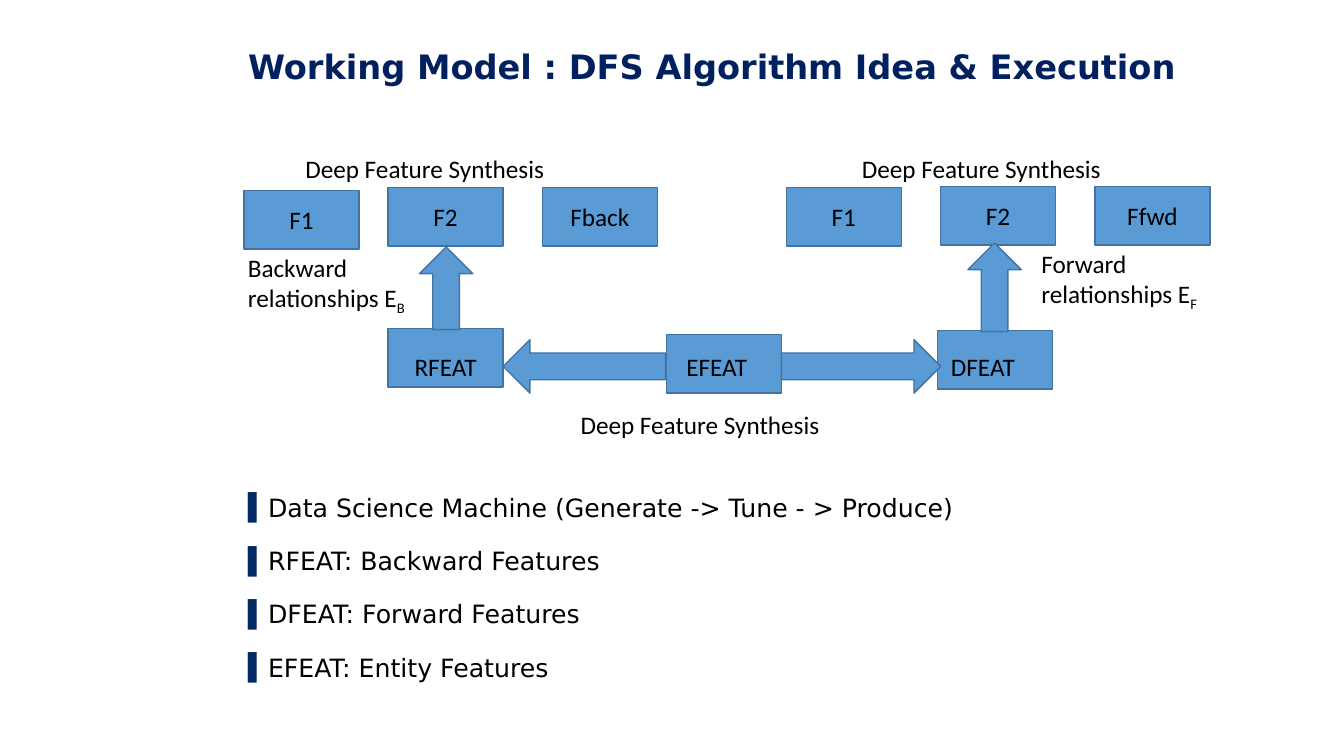
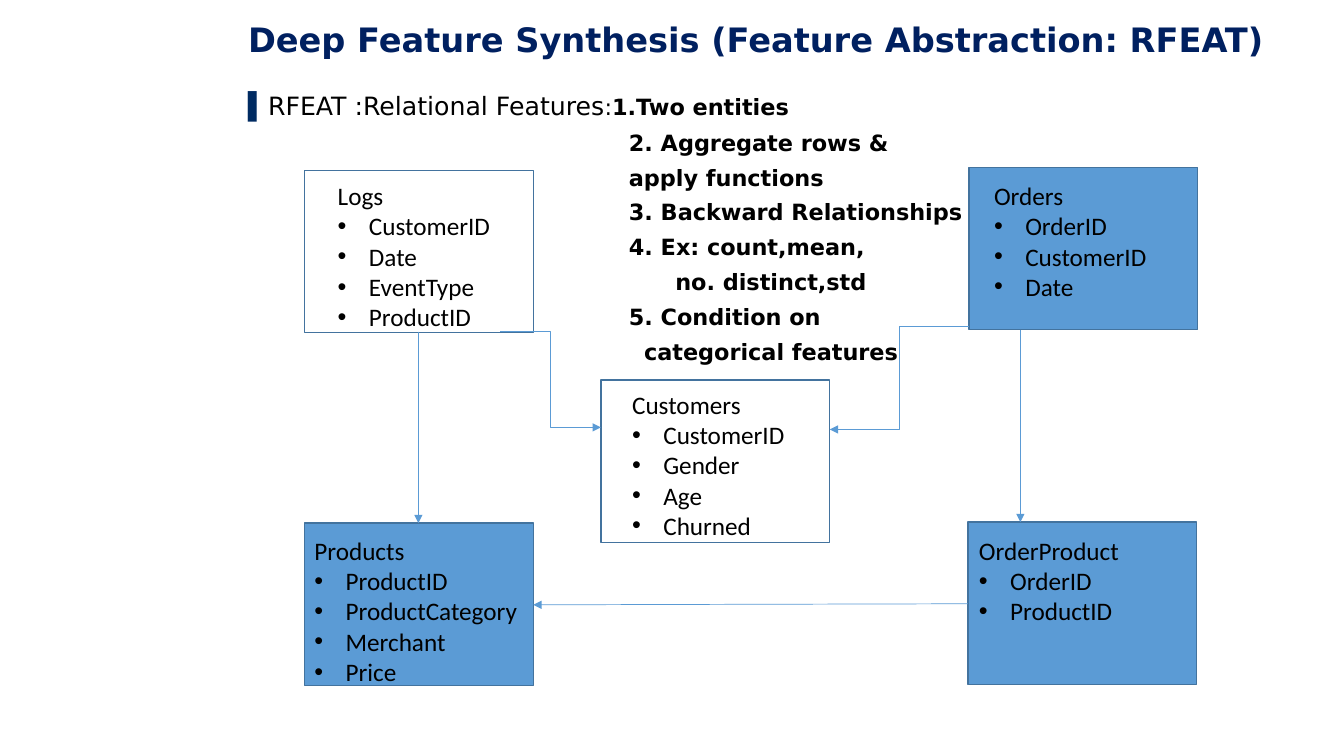
from lxml.etree import SubElement
from pptx import Presentation
from pptx.dml.color import RGBColor
from pptx.enum.shapes import MSO_CONNECTOR as Connector, MSO_SHAPE as Shape
from pptx.enum.text import MSO_ANCHOR as Anchor, MSO_AUTO_SIZE as AutoSize, PP_ALIGN as Align
from pptx.oxml.ns import qn
from pptx.util import Inches, Pt

NAVY, MARKER, BLACK, WHITE = "002060", "002B62", "000000", "FFFFFF"
BLUE, OUTLINE = "5B9BD5", "43739E"
MARGIN_X, MARGIN_Y = 0.1, 0.05
CONTENT_LEFT = 2.36
FEATURE_W, FEATURE_H = 1.14, 0.58
ENTITY_W, ENTITY_H = 2.27, 1.61
DIAGRAM_FONT = {"name": "Calibri", "size": Pt(18)}
BODY_FONT = {"name": "DejaVu Sans", "size": Pt(18)}
NOTE_FONT = {"name": "DejaVu Sans", "size": Pt(16), "bold": True}
TITLE_FONT = {"name": "DejaVu Sans", "size": Pt(24), "bold": True}
BODY_SPACING = {"space_before": Pt(5.7)}


def color(hex_value):
    """Turn a hex string into a colour."""
    return RGBColor.from_string(hex_value)


def apply_format(target, formats):
    """Set every attribute named in a dict of format values."""
    for attribute, value in formats.items():
        setattr(target, attribute, value)


def add_run(paragraph, text, font, hex_value=BLACK):
    """Append a formatted run to a paragraph."""
    run = paragraph.add_run()
    run.text = text
    apply_format(run.font, font)
    run.font.color.rgb = color(hex_value)
    return run


def next_paragraph(frame):
    """Return the first paragraph while it is empty, otherwise a new one."""
    first = frame.paragraphs[0]
    return frame.add_paragraph() if first.runs else first


def set_indent(paragraph, left, hanging=0):
    """Set the left margin and hanging indent of a paragraph."""
    properties = paragraph._p.get_or_add_pPr()
    properties.set("marL", str(Inches(left)))
    properties.set("indent", str(-Inches(hanging)))


def set_bullet(paragraph, character, indent, hex_value=BLACK):
    """Give a paragraph a hanging bullet."""
    set_indent(paragraph, indent, indent)
    properties = paragraph._p.get_or_add_pPr()
    fill = SubElement(properties, qn("a:buClr"))
    SubElement(fill, qn("a:srgbClr")).set("val", hex_value)
    SubElement(properties, qn("a:buFont")).set("typeface", "Arial")
    SubElement(properties, qn("a:buChar")).set("char", character)


def add_title_slide(deck, text, top):
    """Add a title-only slide with the shared title style."""
    slide = deck.slides.add_slide(deck.slide_layouts[5])
    title = slide.shapes.title
    apply_format(title, {"left": Inches(CONTENT_LEFT), "top": Inches(top),
                         "width": Inches(10.88), "height": Inches(0.46)})
    frame = title.text_frame
    apply_format(frame, {"word_wrap": True, "auto_size": AutoSize.NONE,
                         "vertical_anchor": Anchor.BOTTOM})
    heading = frame.paragraphs[0]
    apply_format(heading, {"alignment": Align.LEFT, "line_spacing": 0.9})
    add_run(heading, text, TITLE_FONT, NAVY)
    return slide


def add_text_area(slide, left, top, width, height):
    """Add a wrapping text box and return its frame."""
    area = slide.shapes.add_textbox(*map(Inches, (left, top, width, height)))
    area.text_frame.word_wrap = True
    return area.text_frame


def add_label(slide, left, top, width, text, subscript=""):
    """Add a diagram label with an optional subscript."""
    frame = add_text_area(slide, left, top, width, 0.4)
    for line in text.split("\n"):
        paragraph = next_paragraph(frame)
        add_run(paragraph, line, DIAGRAM_FONT)
    if subscript:
        small = add_run(paragraph, subscript, DIAGRAM_FONT)
        small._r.get_or_add_rPr().set("baseline", "-25000")


def add_block(slide, kind, left, top, width, height, fill=BLUE):
    """Add a filled, outlined shape without shadow."""
    block = slide.shapes.add_shape(kind, *map(Inches, (left, top, width, height)))
    block.shadow.inherit = False
    block.fill.solid()
    block.fill.fore_color.rgb = color(fill)
    block.line.color.rgb = color(OUTLINE)
    block.line.width = Pt(1)
    return block


def add_feature(slide, left, top, name, shift_left=0, shift_down=0):
    """Add a feature box whose centred name may be shifted."""
    frame = add_block(slide, Shape.RECTANGLE, left, top, FEATURE_W, FEATURE_H).text_frame
    apply_format(frame, {"vertical_anchor": Anchor.MIDDLE, "word_wrap": True,
                         "margin_right": Inches(MARGIN_X + 2 * shift_left),
                         "margin_top": Inches(MARGIN_Y + 2 * shift_down)})
    frame.paragraphs[0].alignment = Align.CENTER
    add_run(frame.paragraphs[0], name, DIAGRAM_FONT)


def add_synthesis_diagram(slide, left, top):
    """Draw the feature boxes, their arrows and labels."""
    features = [
        (0.06, 0.42, "F1", 0, 0), (1.49, 0.39, "F2", 0, 0), (3.02, 0.39, "Fback", 0, 0),
        (5.44, 0.39, "F1", 0, 0), (6.97, 0.38, "F2", 0, 0), (8.5, 0.38, "Ffwd", 0, 0),
        (1.49, 1.79, "RFEAT", 0, 0.08), (4.25, 1.85, "EFEAT", 0.07, 0.02),
        (6.94, 1.81, "DFEAT", 0.12, 0.06),
    ]
    for x, y, name, shift_left, shift_down in features:
        add_feature(slide, left + x, top + y, name, shift_left, shift_down)
    arrows = [
        (Shape.RIGHT_ARROW, 5.39, 1.9, 1.58, 0.53), (Shape.LEFT_ARROW, 2.63, 1.9, 1.61, 0.53),
        (Shape.UP_ARROW, 1.8, 0.98, 0.53, 0.82), (Shape.UP_ARROW, 7.24, 0.94, 0.53, 0.88),
    ]
    for kind, x, y, width, height in arrows:
        add_block(slide, kind, left + x, top + y, width, height)
    for x, y in [(0.57, 0), (6.09, 0), (3.3, 2.54)]:
        add_label(slide, left + x, top + y, 2.7, "Deep Feature Synthesis")
    add_label(slide, left, top + 0.98, 1.8, "Backward relationships E", "B")
    add_label(slide, left + 7.87, top + 0.94, 1.91, "Forward\nrelationships E", "F")


def add_glossary(slide, left, top):
    """List the terms with bar bullets."""
    frame = add_text_area(slide, left, top, 10.71, 2.01)
    for term in ("Data Science Machine (Generate -> Tune - > Produce)",
                 "RFEAT: Backward Features", "DFEAT: Forward Features",
                 "EFEAT: Entity Features"):
        paragraph = next_paragraph(frame)
        set_bullet(paragraph, "▌", 0.2, MARKER)
        apply_format(paragraph, {**BODY_SPACING, "line_spacing": 1.5})
        add_run(paragraph, term, BODY_FONT)


def add_relational_notes(slide, left, top):
    """Write the relational feature heading and its numbered notes."""
    frame = add_text_area(slide, left, top, 10.71, 2.8)
    heading = frame.paragraphs[0]
    set_bullet(heading, "▌", 0.2, MARKER)
    add_run(heading, "RFEAT :Relational Features", BODY_FONT)
    add_run(heading, ":", {**NOTE_FONT, "bold": False})
    add_run(heading, "1.Two entities", NOTE_FONT)
    notes = [
        (3.78, "2. Aggregate rows &"), (3.78, "apply functions"),
        (3.78, "3. Backward Relationships"), (3.78, "4. Ex: count,mean,"),
        (4.24, "no. distinct,std"), (3.78, "5. Condition on"),
        (3.93, "categorical features"),
    ]
    for indent, note in notes:
        paragraph = frame.add_paragraph()
        set_indent(paragraph, indent)
        apply_format(paragraph, BODY_SPACING)
        add_run(paragraph, note, NOTE_FONT)


def add_entity(slide, left, top, fill, inset_x, inset_y, name, fields):
    """Add an entity box with its name and bulleted fields."""
    box = add_block(slide, Shape.RECTANGLE, left, top, ENTITY_W, ENTITY_H, fill)
    frame = box.text_frame
    apply_format(frame, {"vertical_anchor": Anchor.TOP, "word_wrap": True,
                         "margin_left": Inches(inset_x), "margin_top": Inches(inset_y),
                         "margin_right": 0, "margin_bottom": 0})
    for line in (name, *fields):
        paragraph = next_paragraph(frame)
        paragraph.alignment = Align.LEFT
        if line != name:
            set_bullet(paragraph, "•", 0.31)
        add_run(paragraph, line, DIAGRAM_FONT)


def add_relation(slide, kind, start_x, start_y, end_x, end_y):
    """Add a thin connector that ends in a triangle."""
    relation = slide.shapes.add_connector(kind, *map(Inches, (start_x, start_y, end_x, end_y)))
    relation.line.color.rgb = color(BLUE)
    relation.line.width = Pt(0.5)
    SubElement(relation.line._get_or_add_ln(), qn("a:tailEnd")).set("type", "triangle")
    SubElement(relation._element.spPr, qn("a:effectLst"))


def add_entity_diagram(slide, left, top):
    """Draw the entities and the relations between them."""
    entities = [
        (0, 0.03, WHITE, 0.33, 0.1, "Logs", ("CustomerID", "Date", "EventType", "ProductID")),
        (0, 3.53, BLUE, 0.1, 0.12, "Products",
         ("ProductID", "ProductCategory", "Merchant", "Price")),
        (2.94, 2.11, WHITE, 0.31, 0.09, "Customers", ("CustomerID", "Gender", "Age", "Churned")),
        (6.59, 0, BLUE, 0.25, 0.13, "Orders", ("OrderID", "CustomerID", "Date")),
        (6.58, 3.52, BLUE, 0.11, 0.13, "OrderProduct", ("OrderID", "ProductID")),
    ]
    for x, y, *details in entities:
        add_entity(slide, left + x, top + y, *details)
    relations = [
        (Connector.ELBOW, 1.94, 1.63, 2.94, 2.58), (Connector.ELBOW, 6.59, 1.58, 5.21, 2.6),
        (Connector.STRAIGHT, 1.13, 1.63, 1.13, 3.53),
        (Connector.STRAIGHT, 7.1, 1.61, 7.1, 3.52),
        (Connector.STRAIGHT, 6.58, 4.33, 2.27, 4.34),
    ]
    for kind, start_x, start_y, end_x, end_y in relations:
        add_relation(slide, kind, left + start_x, top + start_y, left + end_x, top + end_y)


def main():
    """Build both slides and save the deck."""
    deck = Presentation()
    apply_format(deck, {"slide_width": Inches(13.33), "slide_height": Inches(7.5)})
    model = add_title_slide(deck, "Working Model : DFS Algorithm Idea & Execution", 0.45)
    add_synthesis_diagram(model, CONTENT_LEFT, 1.47)
    add_glossary(model, CONTENT_LEFT, 4.68)
    abstraction = add_title_slide(
        deck, "Deep Feature Synthesis (Feature Abstraction: RFEAT)", 0.18)
    add_relational_notes(abstraction, CONTENT_LEFT, 0.85)
    add_entity_diagram(abstraction, 3.02, 1.66)
    deck.save("out.pptx")


if __name__ == "__main__":
    main()
